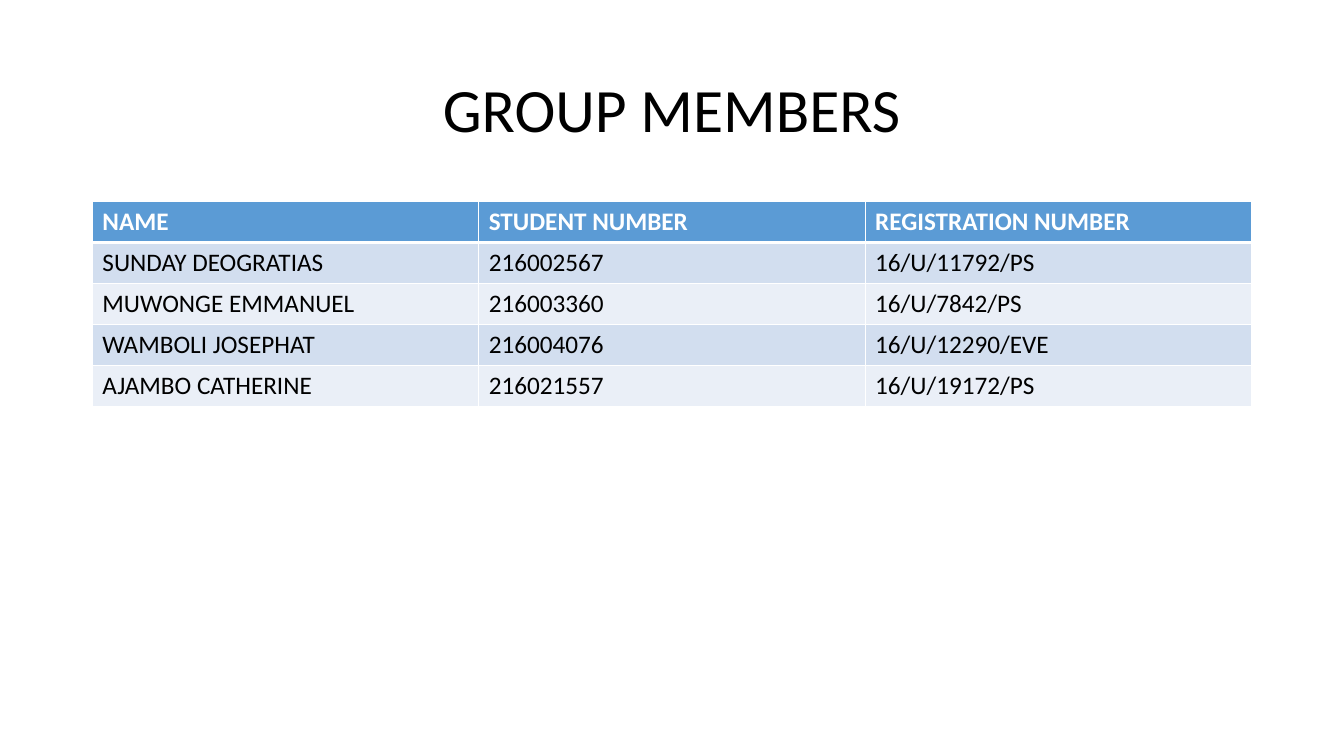
import lxml.etree
import pptx
import pptx.dml.color
import pptx.enum.text
import pptx.oxml.ns
import pptx.util

RGBColor = pptx.dml.color.RGBColor
PP_ALIGN = pptx.enum.text.PP_ALIGN
MSO_ANCHOR = pptx.enum.text.MSO_ANCHOR
qn = pptx.oxml.ns.qn

PX = 9525  # EMU per px, 96 px to the inch
FONT = "Calibri"
BLACK = RGBColor(0x00, 0x00, 0x00)
WHITE = RGBColor(0xFF, 0xFF, 0xFF)
HEADER_BLUE = RGBColor(0x5B, 0x9B, 0xD5)
BAND_DARK = RGBColor(0xD2, 0xDE, 0xEF)
BAND_LIGHT = RGBColor(0xEA, 0xEF, 0xF7)

MEMBERS = [
    ("NAME", "STUDENT NUMBER", "REGISTRATION NUMBER"),
    ("SUNDAY DEOGRATIAS", "216002567", "16/U/11792/PS"),
    ("MUWONGE EMMANUEL", "216003360", "16/U/7842/PS"),
    ("WAMBOLI JOSEPHAT", "216004076", "16/U/12290/EVE"),
    ("AJAMBO CATHERINE", "216021557", "16/U/19172/PS"),
]


def write(tf, text, size=18, color=BLACK, bold=False, align=PP_ALIGN.LEFT, spacing=1.0):
    p = tf.paragraphs[0]
    p.alignment = align
    p.line_spacing = spacing
    r = p.add_run()
    r.text = text
    r.font.name = FONT
    r.font.size = pptx.util.Pt(size)
    r.font.bold = bold
    r.font.color.rgb = color


def add_title(slide, text, x, y, w, h):
    sp = slide.shapes.add_textbox(x * PX, y * PX, w * PX, h * PX)
    tf = sp.text_frame
    tf.word_wrap = True
    tf.vertical_anchor = MSO_ANCHOR.MIDDLE
    write(tf, text, size=44, align=PP_ALIGN.CENTER, spacing=0.9)


def set_borders(cell, **widths):
    """Draw white cell borders; widths are points by side: L, R, T, B."""
    tcPr = cell._tc.get_or_add_tcPr()
    for side, width in widths.items():
        ln = lxml.etree.SubElement(tcPr, qn("a:ln" + side), w=str(pptx.util.Pt(width)))
        fill = lxml.etree.SubElement(ln, qn("a:solidFill"))
        lxml.etree.SubElement(fill, qn("a:srgbClr"), val=str(WHITE))


def add_member_table(slide, rows, x, y, w, h):
    n_rows, n_cols = len(rows), len(rows[0])
    frame = slide.shapes.add_table(n_rows, n_cols, x * PX, y * PX, w * PX, h * PX)
    table = frame.table
    for i, row in enumerate(rows):
        header = i == 0
        band = BAND_DARK if i % 2 else BAND_LIGHT
        for j, text in enumerate(row):
            cell = table.cell(i, j)
            set_borders(cell, L=1, R=1, T=3 if i == 1 else 1, B=3 if header else 1)
            cell.fill.solid()
            cell.fill.fore_color.rgb = HEADER_BLUE if header else band
            write(cell.text_frame, text, color=WHITE if header else BLACK, bold=header)


def main():
    prs = pptx.Presentation()
    prs.slide_width = 1280 * PX
    prs.slide_height = 720 * PX
    slide = prs.slides.add_slide(prs.slide_layouts[6])
    left, width = 88, 1104
    add_title(slide, "GROUP MEMBERS", left, 38, width, 139)
    add_member_table(slide, MEMBERS, left, 192, width, 195)
    prs.save("out.pptx")


if __name__ == "__main__":
    main()
